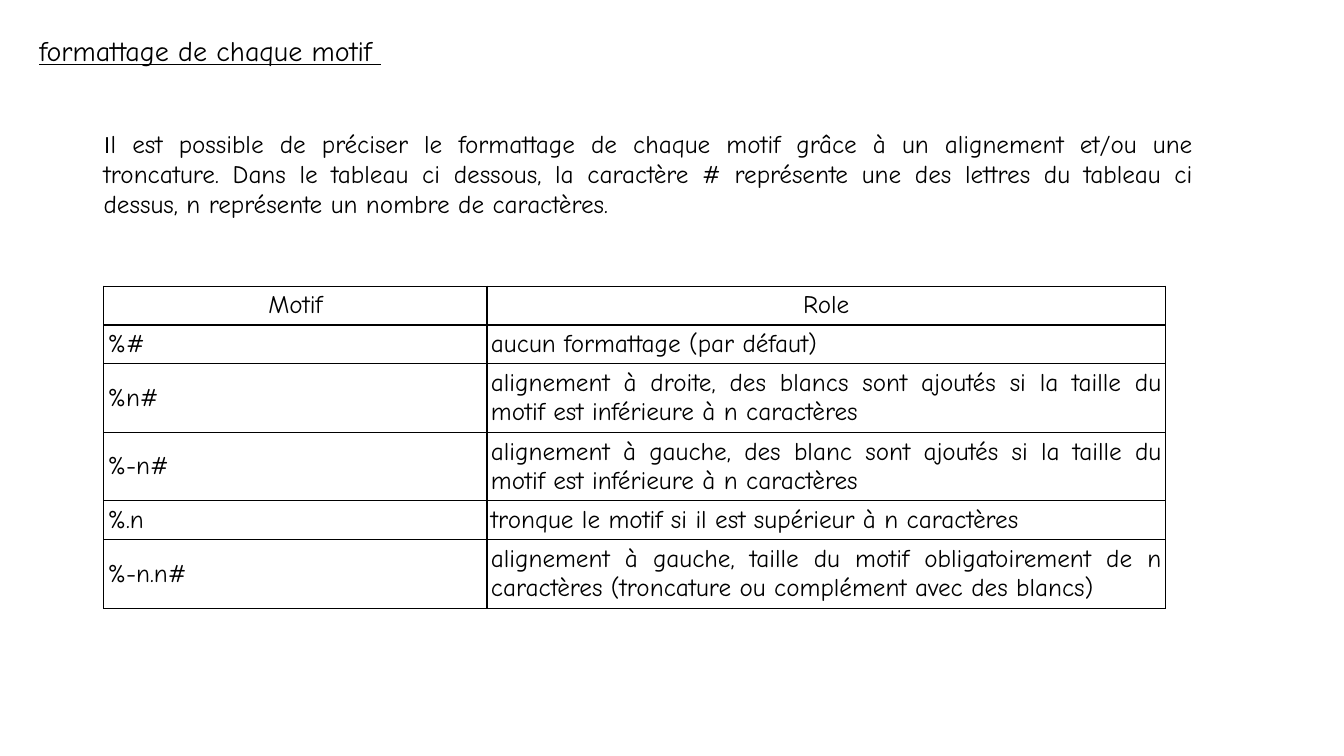
from lxml import etree
from pptx import Presentation
from pptx.dml.color import RGBColor
from pptx.enum.text import MSO_ANCHOR, MSO_AUTO_SIZE, PP_ALIGN
from pptx.oxml.ns import qn
from pptx.util import Inches, Pt

LEFT, CENTER, JUSTIFY = PP_ALIGN.LEFT, PP_ALIGN.CENTER, PP_ALIGN.JUSTIFY
TOP, MIDDLE = MSO_ANCHOR.TOP, MSO_ANCHOR.MIDDLE
NO_AUTOFIT = MSO_AUTO_SIZE.NONE
TITLE_ONLY = 5

FONT = "Comic Neue"
BLACK = "000000"
BORDER_WIDTH = Pt(1)
CELL_MARGIN = Inches(0.04)
COLUMN_WIDTHS = (3.8, 6.73)
ONE_LINE, TWO_LINES = 0.385, 0.68

INTRO = (
    "l est possible de préciser le formattage de chaque motif grâce à un "
    "alignement et/ou une troncature. Dans le tableau ci dessous, la caractère # "
    "représente une des lettres du tableau ci dessus, n représente un nombre de "
    "caractères."
)

# Row height, pattern, role
ROWS = [
    (ONE_LINE, "Motif", "Role"),
    (ONE_LINE, "%#", "aucun formattage (par défaut)"),
    (TWO_LINES, "%n#", "alignement à droite, des blancs sont ajoutés si la taille "
                       "du motif est inférieure à n caractères"),
    (TWO_LINES, "%-n#", "alignement à gauche, des blanc sont ajoutés si la taille "
                        "du motif est inférieure à n caractères"),
    (ONE_LINE, "%.n", "tronque le motif si il est supérieur à n caractères"),
    (TWO_LINES, "%-n.n#", "alignement à gauche, taille du motif obligatoirement de n "
                          "caractères (troncature ou complément avec des blancs)"),
]


def color(value):
    return RGBColor.from_string(value)


def add_text(para, text, size=18, font=FONT, align=JUSTIFY, underline=False):
    para.alignment = align
    span = para.add_run()
    span.text = text
    span.font.name = font
    span.font.size = Pt(size)
    span.font.underline = underline
    span.font.color.rgb = color(BLACK)


def set_frame(box, left, top, width, height):
    box.left, box.top = Inches(left), Inches(top)
    box.width, box.height = Inches(width), Inches(height)
    frame = box.text_frame
    frame.word_wrap = True
    frame.auto_size = NO_AUTOFIT
    frame.vertical_anchor = TOP
    return frame.paragraphs[0]


def add_borders(cell):
    properties = cell._tc.get_or_add_tcPr()
    for side in ("lnL", "lnR", "lnT", "lnB"):
        line = etree.SubElement(properties, qn(f"a:{side}"), w=str(BORDER_WIDTH))
        fill = etree.SubElement(line, qn("a:solidFill"))
        etree.SubElement(fill, qn("a:srgbClr"), val=BLACK)


def format_cell(cell, text, align):
    add_borders(cell)
    cell.fill.background()
    cell.vertical_anchor = MIDDLE
    cell.margin_left = cell.margin_right = CELL_MARGIN
    cell.margin_top = cell.margin_bottom = CELL_MARGIN
    add_text(cell.text_frame.paragraphs[0], text, align=align)


def add_pattern_table(page):
    heights = [row[0] for row in ROWS]
    table = page.shapes.add_table(
        len(ROWS), len(COLUMN_WIDTHS), Inches(1.03), Inches(2.84),
        Inches(sum(COLUMN_WIDTHS)), Inches(sum(heights))).table
    table.first_row = table.horz_banding = False
    for column, width in zip(table.columns, COLUMN_WIDTHS):
        column.width = Inches(width)
    for row_index, (height, *texts) in enumerate(ROWS):
        table.rows[row_index].height = Inches(height)
        align = CENTER if row_index == 0 else JUSTIFY
        for column_index, text in enumerate(texts):
            format_cell(table.cell(row_index, column_index), text, align)


def main():
    deck = Presentation()
    deck.slide_width, deck.slide_height = Inches(13.33), Inches(7.5)
    page = deck.slides.add_slide(deck.slide_layouts[TITLE_ONLY])

    # Title
    para = set_frame(page.shapes.title, 0.29, 0.28, 3.96, 0.44)
    add_text(para, "formattage de chaque motif ", size=20, align=LEFT, underline=True)

    # Introduction, whose first letter has its own font
    intro = page.shapes.add_textbox(0, 0, 0, 0)
    para = set_frame(intro, 0.93, 1.22, 11, 1.62)
    add_text(para, "I", font="Karla")
    add_text(para, INTRO)

    # Table of patterns
    add_pattern_table(page)

    deck.save("out.pptx")


if __name__ == "__main__":
    main()
